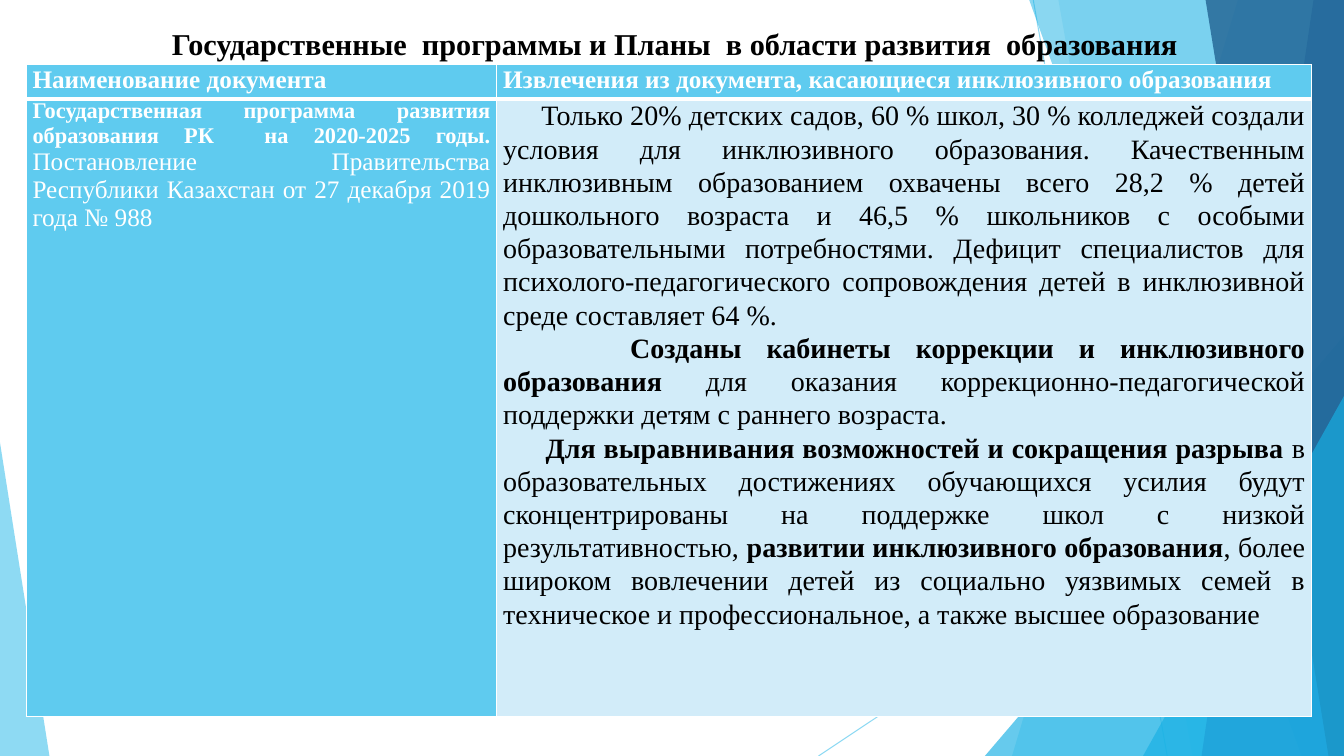
from lxml import etree
from pptx import Presentation
from pptx.dml.color import RGBColor
from pptx.enum.shapes import MSO_CONNECTOR, MSO_SHAPE
from pptx.enum.text import MSO_ANCHOR, PP_ALIGN
from pptx.oxml.ns import qn
from pptx.util import Inches, Pt

STRAIGHT = MSO_CONNECTOR.STRAIGHT
TRIANGLE = MSO_SHAPE.ISOSCELES_TRIANGLE
BOTTOM = MSO_ANCHOR.BOTTOM
CENTER = PP_ALIGN.CENTER
JUSTIFY = PP_ALIGN.JUSTIFY

SKY, AZURE, BLUE, NAVY = "5FCBEF", "17B0E4", "2E83C3", "226292"
PALE, WHITE, BLACK = "D2ECF9", "FFFFFF", "000000"


def color(code):
    return RGBColor.from_string(code)


class Canvas:
    font = "Times New Roman"
    border = WHITE
    cell_margin = 0.47

    def __init__(self, deck):
        self.width, self.height = deck.slide_width, deck.slide_height
        self.slide = deck.slides.add_slide(deck.slide_layouts[6])
        self.shapes = self.slide.shapes

    def x(self, share):
        return round(self.width * share / 100)

    def y(self, share):
        return round(self.height * share / 100)

    def area(self, left, top, width, height):
        return self.x(left), self.y(top), self.x(width), self.y(height)

    def fade(self, paint, opacity):
        for code in paint.iter(qn("a:srgbClr")):
            etree.SubElement(code, qn("a:alpha"), val=str(opacity * 1000))

    def tint(self, shape, code, opacity):
        shape.shadow.inherit = False
        shape.fill.solid()
        shape.fill.fore_color.rgb = color(code)
        shape.line.fill.background()
        self.fade(shape._element.spPr, opacity)

    def ray(self, start, end, code, opacity):
        ray = self.shapes.add_connector(
            STRAIGHT, self.x(start[0]), self.y(start[1]), self.x(end[0]), self.y(end[1]))
        ray.line.color.rgb = color(code)
        ray.line.width = Pt(0.75)
        self.fade(ray._element.spPr, opacity)
        etree.SubElement(ray._element.spPr, qn("a:effectLst"))

    def band(self, top, bottom, code, opacity):
        outline = self.shapes.build_freeform(self.x(top), 0)
        corners = [(100, 0), (100, 100), (bottom, 100)]
        outline.add_line_segments([(self.x(h), self.y(v)) for h, v in corners])
        self.tint(outline.convert_to_shape(), code, opacity)

    def corner(self, left, top, width, apex, code, opacity):
        corner = self.shapes.add_shape(TRIANGLE, *self.area(left, top, width, 100 - top))
        corner.adjustments[0] = apex
        self.tint(corner, code, opacity)

    def add_words(self, paragraph, runs, align, spacing=None, indent=0):
        paragraph.alignment = align
        if spacing:
            paragraph.line_spacing = spacing
        if indent:
            paragraph._p.get_or_add_pPr().set("indent", str(self.x(indent)))
        for words, size, bold, code in runs:
            run = paragraph.add_run()
            run.text = words
            run.font.name = self.font
            run.font.size = Pt(size)
            run.font.bold = bold
            run.font.color.rgb = color(code)

    def heading(self, area, words, size):
        frame = self.shapes.add_textbox(*self.area(*area)).text_frame
        frame.word_wrap = True
        frame.vertical_anchor = BOTTOM
        self.add_words(frame.paragraphs[0], [(words, size, True, BLACK)], CENTER)

    def edge(self, cell, side, points):
        line = etree.SubElement(cell._tc.get_or_add_tcPr(), qn("a:ln" + side),
                                w=str(Pt(points)))
        paint = etree.SubElement(line, qn("a:solidFill"))
        etree.SubElement(paint, qn("a:srgbClr"), val=self.border)

    def cell(self, cell, fill, paragraphs, thick_side):
        cell.margin_left = cell.margin_right = self.x(self.cell_margin)
        cell.margin_top = cell.margin_bottom = 0
        for side in "LRTB":
            self.edge(cell, side, 3 if side == thick_side else 1)
        cell.fill.solid()
        cell.fill.fore_color.rgb = color(fill)
        frame = cell.text_frame
        for number, (runs, spacing, indent) in enumerate(paragraphs):
            paragraph = frame.add_paragraph() if number else frame.paragraphs[0]
            self.add_words(paragraph, runs, JUSTIFY, spacing, indent)

    def table(self, left, top, columns, rows, content):
        table = self.shapes.add_table(
            len(rows), len(columns),
            *self.area(left, top, sum(columns), sum(rows))).table
        for column, share in zip(table.columns, columns):
            column.width = self.x(share)
        for row, share in zip(table.rows, rows):
            row.height = self.y(share)
        for r, line in enumerate(content):
            for c, (fill, paragraphs) in enumerate(line):
                self.cell(table.cell(r, c), fill, paragraphs, "T" if r else "B")


def header(words):
    return SKY, [([(words, 18, True, WHITE)], 1.07, 0)]


def extract(indent, *parts):
    return [(words, 20, bold, BLACK) for words, bold in parts], 1.07, indent


def main():
    deck = Presentation()
    deck.slide_width, deck.slide_height = Inches(13.33), Inches(7.5)
    canvas = Canvas(deck)

    canvas.ray((76.88, 0), (86.85, 100), SKY, 70)
    canvas.ray((100, 53.73), (60.9, 100), SKY, 70)
    canvas.band(92.1, 75.3, SKY, 36)
    canvas.band(78.75, 88.73, SKY, 20)
    canvas.corner(73.28, 44.4, 26.72, 1, AZURE, 66)
    canvas.band(76.58, 96.83, AZURE, 50)
    canvas.band(97.73, 89.4, BLUE, 70)
    canvas.band(89.7, 98.85, NAVY, 80)
    canvas.corner(85.05, 52.4, 14.95, 1, AZURE, 66)
    canvas.corner(0, 58.53, 3.68, 0, SKY, 70)

    canvas.heading((5.55, 2.53, 89.33, 6.27),
                   "Государственные  программы и Планы  в области развития  образования", 21.6)

    programme = [([
        ("Государственная программа развития образования РК  на 2020-2025 годы. ",
         16, True, WHITE),
        ("Постановление Правительства Республики Казахстан от 27 декабря 2019 года № 988",
         18, False, WHITE)], None, 0)]
    extracts = [
        extract(2.85, (
            "Только 20% детских садов, 60 % школ, 30 % колледжей создали условия "
            "для инклюзивного образования. Качественным инклюзивным образованием охвачены "
            "всего 28,2 % детей дошкольного возраста и 46,5 % школьников с особыми "
            "образовательными потребностями. Дефицит специалистов для "
            "психолого-педагогического сопровождения детей в инклюзивной среде "
            "составляет 64 %.", False)),
        extract(9.45,
                ("Созданы кабинеты коррекции и инклюзивного образования ", True),
                ("для оказания коррекционно-педагогической поддержки детям "
                 "с раннего возраста.", False)),
        extract(3.15,
                ("Для выравнивания возможностей и сокращения разрыва ", True),
                ("в образовательных достижениях обучающихся усилия будут сконцентрированы "
                 "на поддержке школ с низкой результативностью, ", False),
                ("развитии инклюзивного образования", True),
                (", более широком вовлечении детей из социально уязвимых семей в техническое "
                 "и профессиональное, а также высшее образование", False)),
    ]
    canvas.table(1.95, 8.53, (35.02, 60.6), (4.53, 81.73), [
        [header("Наименование документа"),
         header("Извлечения из документа, касающиеся инклюзивного образования")],
        [(SKY, programme), (PALE, extracts)],
    ])
    deck.save("out.pptx")


if __name__ == "__main__":
    main()
